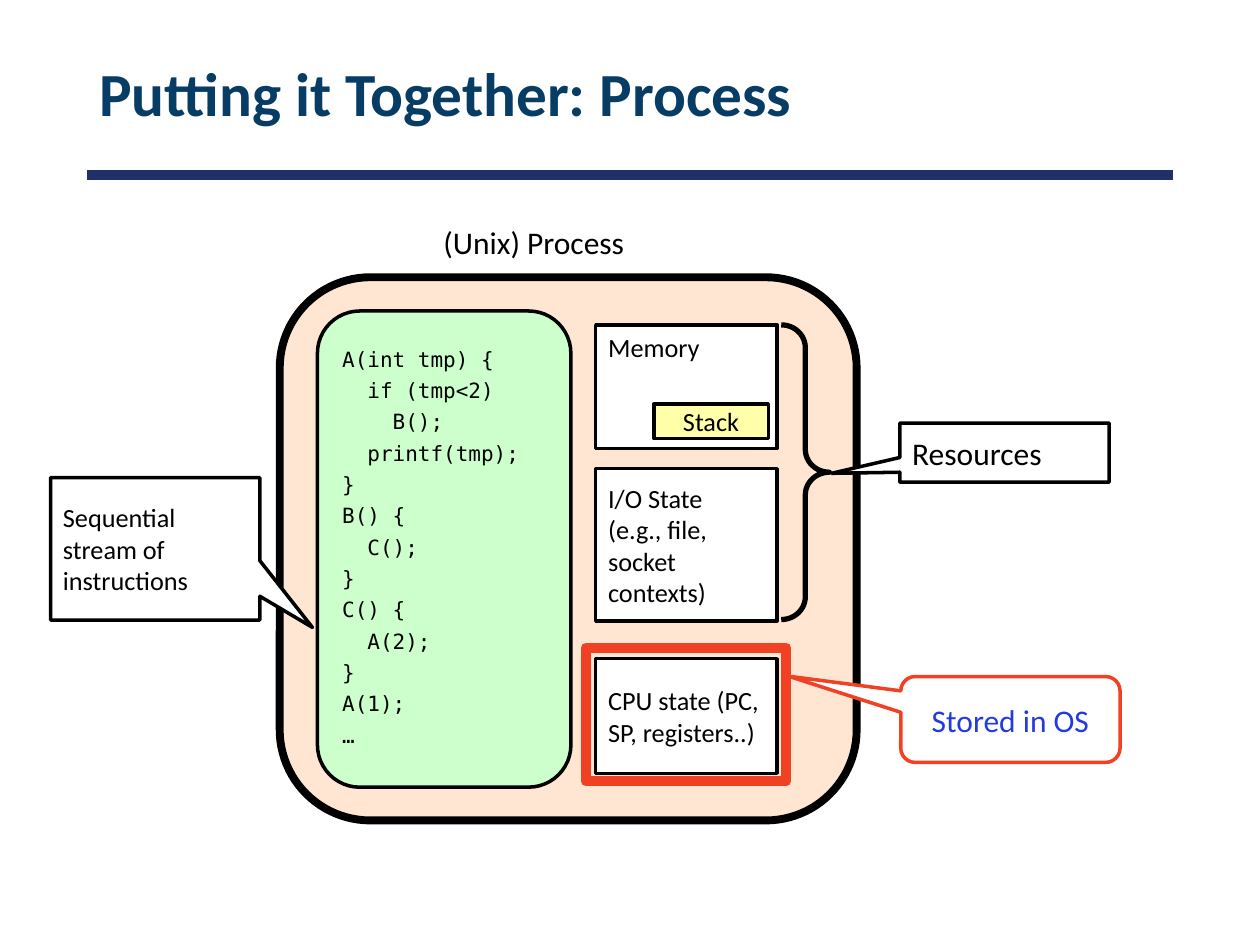
from dataclasses import dataclass
from lxml.etree import SubElement
from pptx import Presentation
from pptx.dml.color import RGBColor
from pptx.enum.shapes import MSO_CONNECTOR, MSO_SHAPE
from pptx.enum.text import MSO_ANCHOR, PP_ALIGN
from pptx.oxml.ns import qn
from pptx.util import Cm, Pt


@dataclass(frozen=True)
class Theme:
    # Colours
    ink: str = "000000"
    paper: str = "FFFFFF"
    title: str = "073C65"
    rule: str = "21306A"
    peach: str = "FFE6D3"
    green: str = "CCFFCC"
    yellow: str = "FFFFAA"
    red: str = "F14124"
    blue: str = "233AE1"
    # Fonts and type sizes
    sans: str = "Calibri"
    mono: str = "DejaVu Sans Mono"
    head: int = 35
    large: int = 18
    body: int = 15
    small: int = 12


class Deck:
    def __init__(self, theme):
        self.theme = theme
        self.file = Presentation()
        self.file.slide_width, self.file.slide_height = Cm(25.4), Cm(19.05)
        self.slide = self.file.slides.add_slide(self.file.slide_layouts[6])

    def text(self, shape, text, size, color=None, font=None, bold=False,
             align=PP_ALIGN.LEFT, anchor=MSO_ANCHOR.MIDDLE, wrap=True,
             lead=None, gap=0):
        frame = shape.text_frame
        frame.text = text
        frame.word_wrap = wrap
        frame.vertical_anchor = anchor
        for num, para in enumerate(frame.paragraphs):
            para.alignment = align
            if lead:
                para.line_spacing = lead
            if gap and num:
                para.space_before = Pt(gap)
            for run in para.runs:
                run.font.size = Pt(size)
                run.font.name = font or self.theme.sans
                run.font.bold = bold
                run.font.color.rgb = RGBColor.from_string(color or self.theme.ink)

    def label(self, box, text, size, **style):
        shape = self.slide.shapes.add_textbox(*map(Cm, box))
        self.text(shape, text, size, **style)

    def rule(self, left, right, top, color, width):
        line = self.slide.shapes.add_connector(
            MSO_CONNECTOR.STRAIGHT, Cm(left), Cm(top), Cm(right), Cm(top))
        line.line.color.rgb = RGBColor.from_string(color)
        line.line.width = Pt(width)
        SubElement(line._element.spPr, qn("a:effectLst"))

    def shape(self, kind, box, fill=None, line=None, width=2, adjust=(),
              text=None, size=None, **style):
        shape = self.slide.shapes.add_shape(kind, *map(Cm, box))
        shape.shadow.inherit = False
        for num, value in enumerate(adjust):
            shape.adjustments[num] = value
        if fill:
            shape.fill.solid()
            shape.fill.fore_color.rgb = RGBColor.from_string(fill)
        else:
            shape.fill.background()
        shape.line.color.rgb = RGBColor.from_string(line or self.theme.ink)
        shape.line.width = Pt(width)
        if text:
            self.text(shape, text, size or self.theme.body, **style)


CODE = """A(int tmp) {
  if (tmp<2)
    B();
  printf(tmp);
}
B() {
  C();
}
C() {
  A(2);
}
A(1);
…"""


def main():
    look = Theme()
    deck = Deck(look)

    # Title and rule
    deck.rule(1.75, 23.65, 3.53, look.rule, 6)
    deck.label((1.75, 0.58, 21.89, 2.74), "Putting it Together: Process",
               look.head, color=look.title, bold=True, lead=0.9)

    # Process frame
    deck.shape(MSO_SHAPE.ROUNDED_RECTANGLE, (5.64, 5.59, 11.63, 10.95),
               look.peach, width=4.5, adjust=[0.167])
    deck.label((8.69, 4.37, 5.26, 1.24), "(Unix) Process", look.large,
               anchor=MSO_ANCHOR.TOP, wrap=False)

    # State boxes
    for top, high, text, anchor in (
        (6.55, 2.49, "Memory", MSO_ANCHOR.TOP),
        (9.45, 3.07, "I/O State\n(e.g., file, socket contexts)", MSO_ANCHOR.MIDDLE),
        (13.28, 2.31, "CPU state (PC, SP, registers..)", MSO_ANCHOR.MIDDLE),
    ):
        deck.shape(MSO_SHAPE.RECTANGLE, (12.01, top, 3.66, high), look.paper,
                   text=text, anchor=anchor)
    deck.shape(MSO_SHAPE.RECTANGLE, (13.18, 8.15, 2.31, 0.69), look.yellow,
               text="Stack", align=PP_ALIGN.CENTER)

    # Instructions
    deck.shape(MSO_SHAPE.RECTANGULAR_CALLOUT, (1.02, 9.63, 4.22, 2.87),
               look.paper, adjust=[0.751, 0.552],
               text="Sequential stream of instructions")
    deck.shape(MSO_SHAPE.ROUNDED_RECTANGLE, (6.4, 6.27, 5.11, 9.6),
               look.green, adjust=[0.167], text=CODE, size=look.small,
               font=look.mono, lead=0.8, gap=6.4)

    # Resources
    deck.shape(MSO_SHAPE.RIGHT_BRACE, (15.75, 6.55, 0.97, 5.94), width=3,
               adjust=[0.472, 0.5])
    deck.shape(MSO_SHAPE.RECTANGULAR_CALLOUT, (18.14, 8.53, 4.22, 1.19),
               look.paper, adjust=[-0.826, 0.351], text="Resources",
               size=look.large)

    # Part stored in the system
    deck.shape(MSO_SHAPE.RECTANGLE, (11.81, 13.06, 4.04, 2.69),
               line=look.red, width=6)
    deck.shape(MSO_SHAPE.ROUNDED_RECTANGULAR_CALLOUT,
               (18.16, 13.64, 4.42, 1.73), look.paper, look.red,
               adjust=[-1.013, -0.505, 0.167], text="Stored in OS",
               size=look.large, color=look.blue, align=PP_ALIGN.CENTER)

    deck.file.save("out.pptx")


if __name__ == "__main__":
    main()
